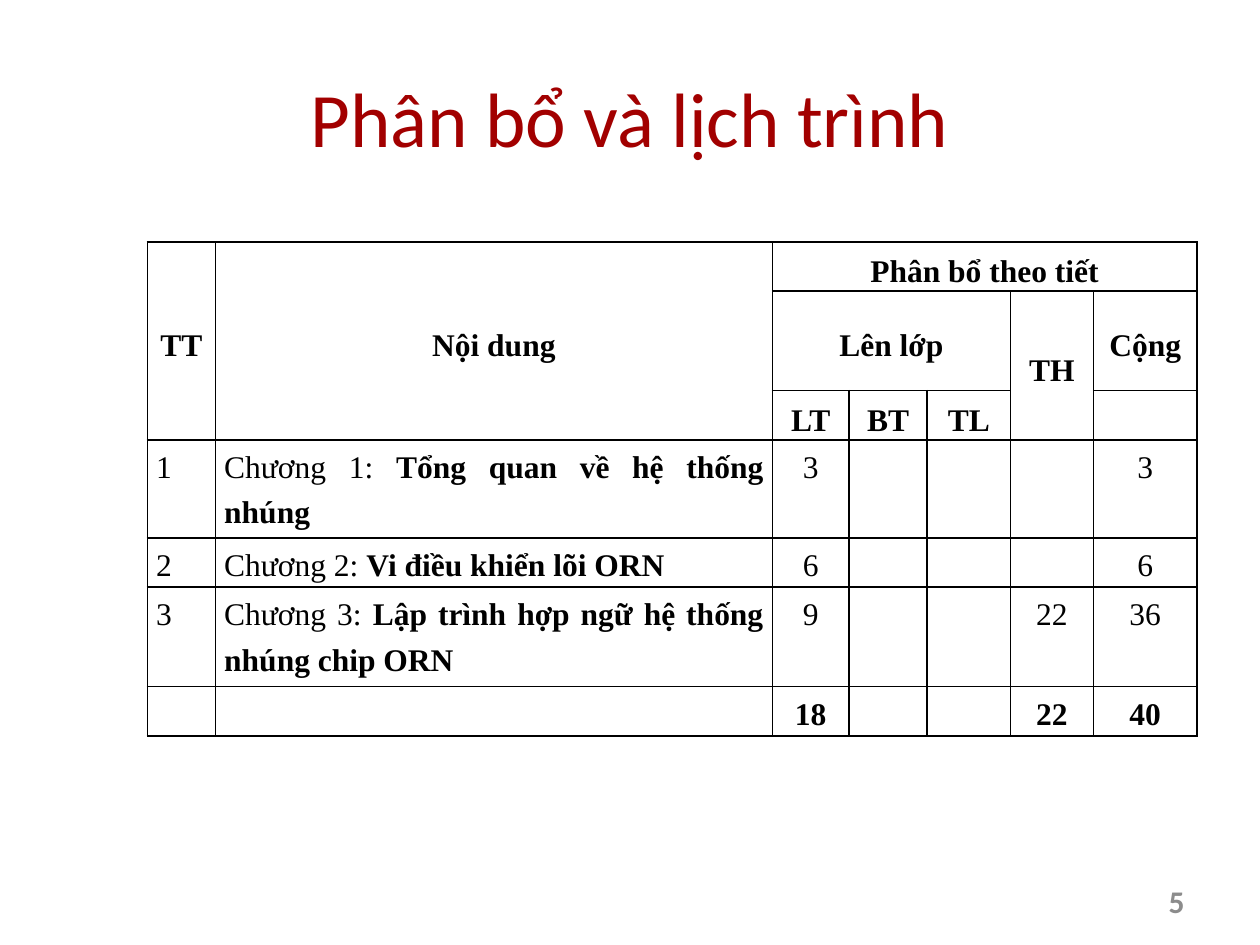
"""Build a slide with a course schedule table."""
import lxml.etree
import pptx
import pptx.dml.color
import pptx.enum.text
import pptx.oxml.ns
import pptx.util

COLORS = {"title": "A20000", "text": "000000", "border": "000000", "number": "8C8C8C"}
ALIGN = pptx.enum.text.PP_ALIGN
ANCHOR = pptx.enum.text.MSO_ANCHOR
inches = pptx.util.Inches


def format_run(run, font_name, size, color, bold=False):
    run.font.name = font_name
    run.font.size = pptx.util.Pt(size)
    run.font.bold = bold
    run.font.color.rgb = pptx.dml.color.RGBColor.from_string(COLORS[color])


def add_border(cell):
    properties = cell._tc.get_or_add_tcPr()
    for position, side in enumerate(("lnL", "lnR", "lnT", "lnB")):
        line = lxml.etree.Element(pptx.oxml.ns.qn("a:" + side), w="12700")
        fill = lxml.etree.SubElement(line, pptx.oxml.ns.qn("a:solidFill"))
        lxml.etree.SubElement(fill, pptx.oxml.ns.qn("a:srgbClr"), val=COLORS["border"])
        properties.insert(position, line)


presentation = pptx.Presentation()
presentation.slide_width = inches(10)
presentation.slide_height = inches(7.5)
slide = presentation.slides.add_slide(presentation.slide_layouts[6])

labels = [
    ("Phân bổ và lịch trình", (0.5, 0.3, 9, 1.25), ALIGN.CENTER, 44, "title", False),
    ("5", (7.17, 6.95, 2.33, 0.4), ALIGN.RIGHT, 18, "number", True),
]
for text, box, alignment, size, color, bold in labels:
    shape = slide.shapes.add_textbox(*map(inches, box))
    shape.text_frame.word_wrap = True
    shape.text_frame.vertical_anchor = ANCHOR.MIDDLE
    paragraph = shape.text_frame.paragraphs[0]
    paragraph.text = text
    paragraph.alignment = alignment
    format_run(paragraph.runs[0], "Calibri", size, color, bold)

column_widths = [0.54, 4.42, 0.61, 0.62, 0.66, 0.66, 0.82]
row_heights = [0.39, 0.79, 0.39, 0.39, 0.39, 0.79, 0.39]
header_rows = 3
total_row = len(row_heights) - 1
content_column = 1
rows = [
    ["TT", "Nội dung", "Phân bổ theo tiết", "", "", "", ""],
    ["", "", "Lên lớp", "", "", "TH", "Cộng"],
    ["", "", "LT", "BT", "TL", "", ""],
    ["1\u00a0", "Chương 1: |Tổng quan về hệ thống nhúng", "3", "", "", "", "3"],
    ["2\u00a0", "Chương 2: |Vi điều khiển lõi ORN", "6", "", "", "", "6"],
    ["3\u00a0", "Chương 3: |Lập trình hợp ngữ hệ thống nhúng chip ORN", "9", "", "", "22", "36"],
    ["", "", "18", "", "", "22", "40"],
]
merges = [(0, 0, 2, 0), (0, 1, 2, 1), (0, 2, 0, 6), (1, 2, 1, 4), (1, 5, 2, 5)]

frame = slide.shapes.add_table(
    len(rows), len(column_widths), inches(1.17), inches(1.92),
    inches(sum(column_widths)), inches(sum(row_heights)),
)
table = frame.table
table.first_row = False
table.horz_banding = False
for column, width in zip(table.columns, column_widths):
    column.width = inches(width)
for row, height in zip(table.rows, row_heights):
    row.height = inches(height)

for row_index, values in enumerate(rows):
    for column_index, value in enumerate(values):
        cell = table.cell(row_index, column_index)
        is_header = row_index < header_rows
        cell.margin_left = cell.margin_right = inches(0.07)
        cell.margin_top = cell.margin_bottom = 0
        cell.vertical_anchor = ANCHOR.MIDDLE if is_header else ANCHOR.TOP
        cell.fill.background()
        add_border(cell)
        paragraph = cell.text_frame.paragraphs[0]
        justified = not is_header and column_index <= content_column
        paragraph.alignment = ALIGN.JUSTIFY if justified else ALIGN.CENTER
        paragraph.line_spacing = 1.3
        paragraph.font.size = pptx.util.Pt(18)
        for part_index, part in enumerate(value.split("|") if value else []):
            run = paragraph.add_run()
            run.text = part
            bold = is_header or row_index == total_row or part_index > 0
            format_run(run, "Times New Roman", 18, "text", bold)

for top, left, bottom, right in merges:
    table.cell(top, left).merge(table.cell(bottom, right))

presentation.save("out.pptx")
